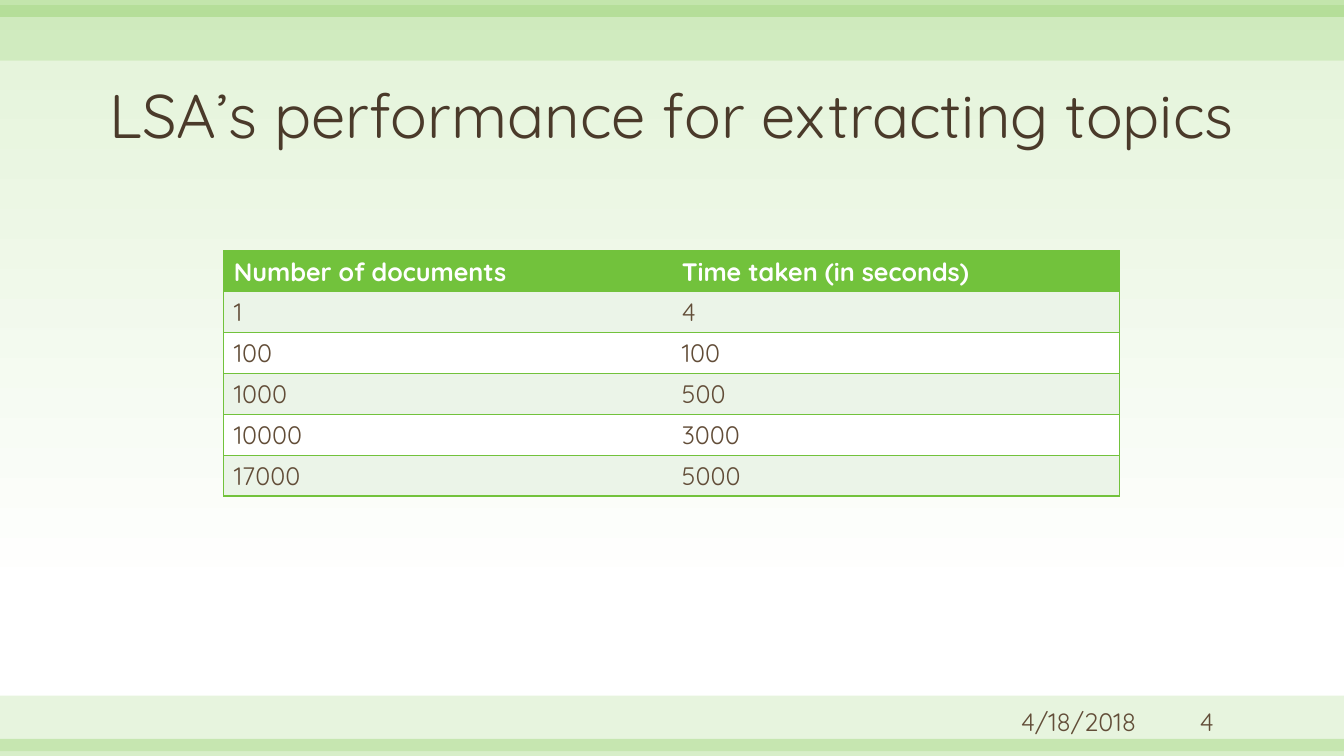
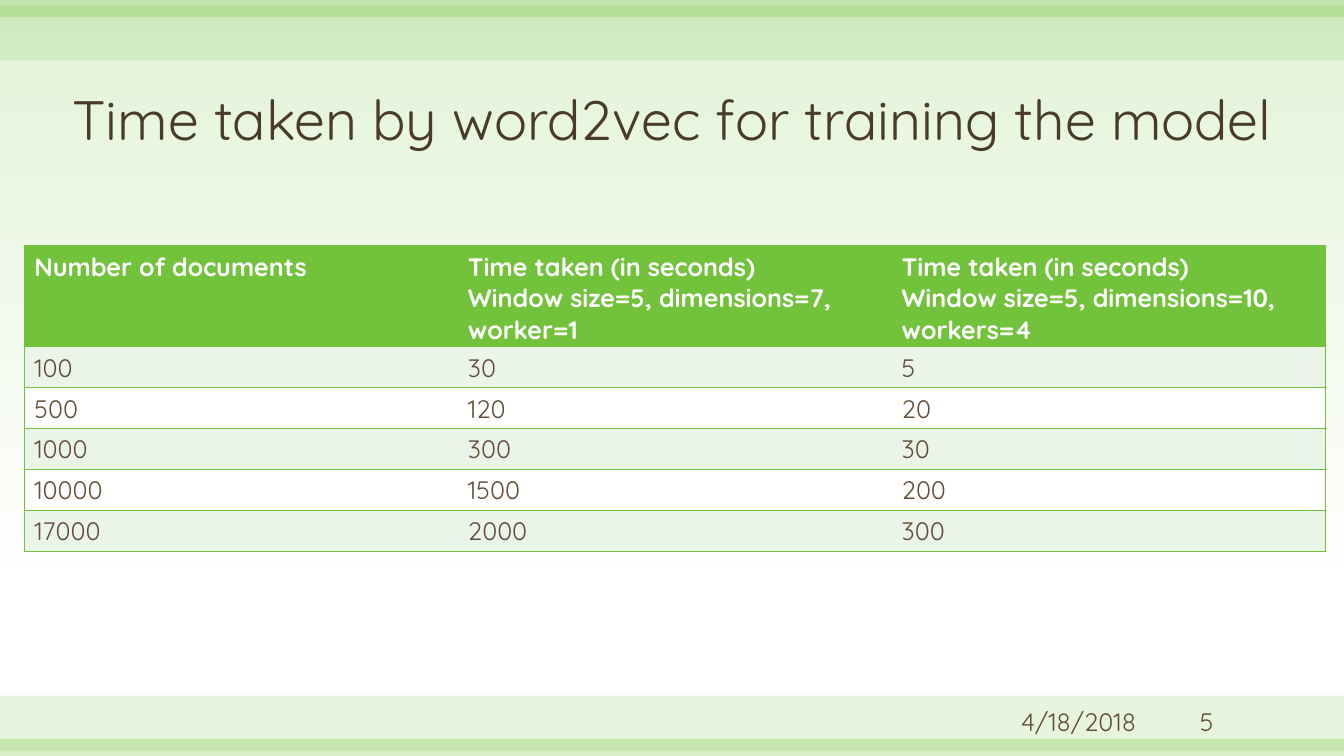
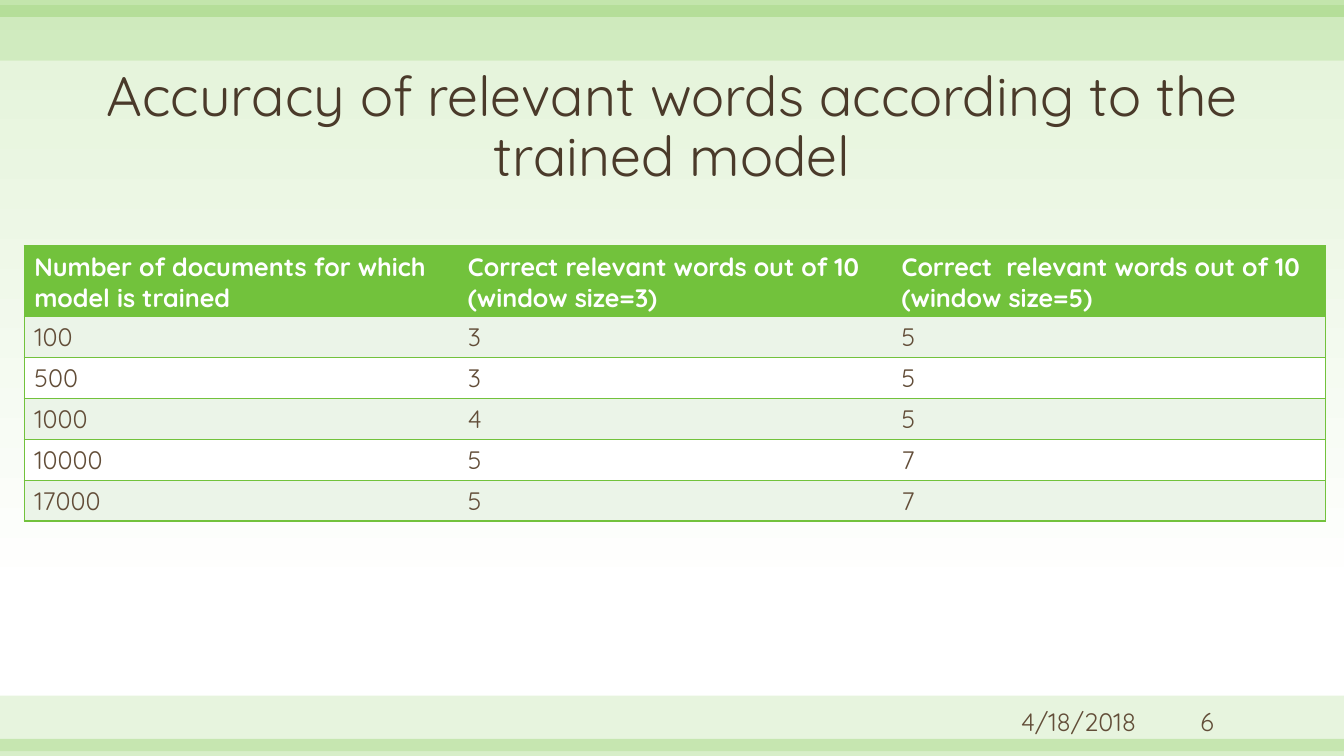
from lxml.etree import SubElement
from pptx import Presentation
from pptx.dml.color import RGBColor
from pptx.enum.shapes import MSO_SHAPE as Shape
from pptx.enum.text import MSO_ANCHOR as Anchor, MSO_AUTO_SIZE as AutoSize, PP_ALIGN as Align
from pptx.oxml.ns import qn
from pptx.util import Cm, Pt

FONT = "Quicksand"
GREEN, PALE_GREEN, STRIPE, WHITE = "72C23C", "E3F3D8", "EBF4E8", "FFFFFF"
TITLE_BROWN, TEXT_BROWN = "4A3A2A", "624D38"
WIDTH, HEIGHT = 33.87, 19.05
ROW_HEIGHT = 1.03
DATE = "4/18/2018"
FIRST_NUMBER = 4

BANDS = [(17.53, 1.4, 17), (18.62, 0.43, 28), (0.13, 1.4, 17), (0, 0.43, 28)]

WIDE_TABLE = {"left": 0.61, "top": 6.2, "column_width": 10.93}

SLIDES = [
    {
        "title": "LSA’s performance for extracting topics",
        "title_format": {"size": 44},
        "table_place": {"left": 5.64, "top": 6.32, "column_width": 11.29},
        "rows": [
            ("Number of documents", "Time taken (in seconds)"),
            ("1", "4"),
            ("100", "100"),
            ("1000", "500"),
            ("10000", "3000"),
            ("17000", "5000"),
        ],
    },
    {
        "title": "Time taken by word2vec for training the model",
        "title_format": {},
        "table_place": WIDE_TABLE,
        "rows": [
            (
                "Number of documents",
                "Time taken (in seconds)\nWindow size=5, dimensions=7, worker=1",
                "Time taken (in seconds)\nWindow size=5, dimensions=10, workers=4",
            ),
            ("100", "30", "5"),
            ("500", "120", "20"),
            ("1000", "300", "30"),
            ("10000", "1500", "200"),
            ("17000", "2000", "300"),
        ],
    },
    {
        "title": "Accuracy of relevant words according to the trained model",
        "title_format": {"top": 1.6, "height": 3.28},
        "table_place": WIDE_TABLE,
        "rows": [
            (
                "Number of documents for which model is trained",
                "Correct relevant words out of 10\n(window size=3)",
                "Correct  relevant words out of 10\n(window size=5)",
            ),
            ("100", "3", "5"),
            ("500", "3", "5"),
            ("1000", "4", "5"),
            ("10000", "5", "7"),
            ("17000", "5", "7"),
        ],
    },
]


def paint(color, hex_value, alpha=None):
    """Set a colour from a hex string, with an optional opacity in percent."""
    color.rgb = RGBColor.from_string(hex_value)
    if alpha is not None:
        for node in color._xFill.iter(qn("a:srgbClr")) if hasattr(color, "_xFill") else ():
            SubElement(node, qn("a:alpha"), val=str(alpha * 1000))


def set_opacity(container, percent):
    """Make the first plain colour inside an XML element translucent."""
    node = next(container.iter(qn("a:srgbClr")))
    SubElement(node, qn("a:alpha"), val=str(percent * 1000))


def write(frame, text, size=18, color=TEXT_BROWN, bold=False, align=Align.LEFT,
          anchor=Anchor.TOP, spacing=None):
    """Fill a text frame with one format, one paragraph per line."""
    frame.text = text
    frame.word_wrap = True
    frame.vertical_anchor = anchor
    for para in frame.paragraphs:
        para.alignment = align
        para.line_spacing = spacing
        for span in para.runs:
            span.font.name = FONT
            span.font.size = Pt(size)
            span.font.bold = bold
            paint(span.font.color, color)


def set_background(layout):
    """Give the layout its vertical green-to-white gradient."""
    fill = layout.background.fill
    fill.gradient()
    fill.gradient_angle = 270
    for stop, color, position in zip(fill.gradient_stops, (PALE_GREEN, WHITE), (0, 0.79)):
        paint(stop.color, color)
        stop.position = position
    set_opacity(layout.element.cSld, 56)


def move_bands_to_layout(page, layout):
    """Draw the translucent bands and place them behind the layout's content."""
    for index, (top, height, opacity) in enumerate(BANDS):
        band = page.shapes.add_shape(Shape.RECTANGLE, 0, Cm(top), Cm(WIDTH), Cm(height))
        band.name = f"Band {index + 1}"
        band.shadow.inherit = False
        band.fill.solid()
        paint(band.fill.fore_color, GREEN)
        set_opacity(band.element.spPr, opacity)
        band.line.fill.background()
        band.element.nvSpPr.cNvPr.set("id", str(20 + index))
        layout.shapes.element.insert(2 + index, band.element)


def add_title(page, text, size=39.6, top=1.52, height=2.44):
    """Place and format the title placeholder."""
    title = page.shapes.title
    title.left, title.top, title.width, title.height = 0, Cm(top), Cm(WIDTH), Cm(height)
    write(title.text_frame, text, size=size, color=TITLE_BROWN, align=Align.CENTER,
          anchor=Anchor.BOTTOM, spacing=0.9)
    title.text_frame.auto_size = AutoSize.NONE


def add_text(page, text, left, top, width, height, **text_format):
    """Add a wrapped text box."""
    box = page.shapes.add_textbox(Cm(left), Cm(top), Cm(width), Cm(height))
    write(box.text_frame, text, **text_format)


def add_footer(page, number):
    """Add the date and the page number."""
    footer_format = {"align": Align.RIGHT, "anchor": Anchor.MIDDLE}
    add_text(page, DATE, 24.66, 17.75, 4.22, 0.86, **footer_format)
    add_text(page, str(number), 29.06, 17.86, 1.78, 0.66, **footer_format)


def set_borders(cell, visible_sides):
    """Draw green borders on the given sides and clear the others."""
    properties = cell._tc.get_or_add_tcPr()
    for side in "LRTB":
        line = SubElement(properties, qn(f"a:ln{side}"), w=str(Pt(1)))
        if side in visible_sides:
            fill = SubElement(line, qn("a:solidFill"))
            SubElement(fill, qn("a:srgbClr"), val=GREEN)
        else:
            SubElement(line, qn("a:noFill"))


def add_striped_table(page, rows, left, top, column_width):
    """Add a table with a green header and striped rows."""
    last = len(rows[0]) - 1
    table = page.shapes.add_table(
        len(rows), last + 1, Cm(left), Cm(top),
        Cm(column_width * (last + 1)), Cm(ROW_HEIGHT * len(rows))).table
    for column in table.columns:
        column.width = Cm(column_width)
    for row_index, row in enumerate(rows):
        header = row_index == 0
        background = GREEN if header else (WHITE, STRIPE)[row_index % 2]
        for column_index, text in enumerate(row):
            cell = table.cell(row_index, column_index)
            write(cell.text_frame, text, color=WHITE if header else TEXT_BROWN, bold=header)
            sides = "TB" + "L" * (column_index == 0) + "R" * (column_index == last)
            set_borders(cell, sides)
            cell.fill.solid()
            paint(cell.fill.fore_color, background)


def main():
    """Build and save the deck."""
    deck = Presentation()
    deck.slide_width, deck.slide_height = Cm(WIDTH), Cm(HEIGHT)
    layout = deck.slide_layouts.get_by_name("Title Only")
    set_background(layout)
    for number, content in enumerate(SLIDES, FIRST_NUMBER):
        page = deck.slides.add_slide(layout)
        if number == FIRST_NUMBER:
            move_bands_to_layout(page, layout)
        add_footer(page, number)
        add_title(page, content["title"], **content["title_format"])
        add_striped_table(page, content["rows"], **content["table_place"])
    deck.save("out.pptx")


main()
